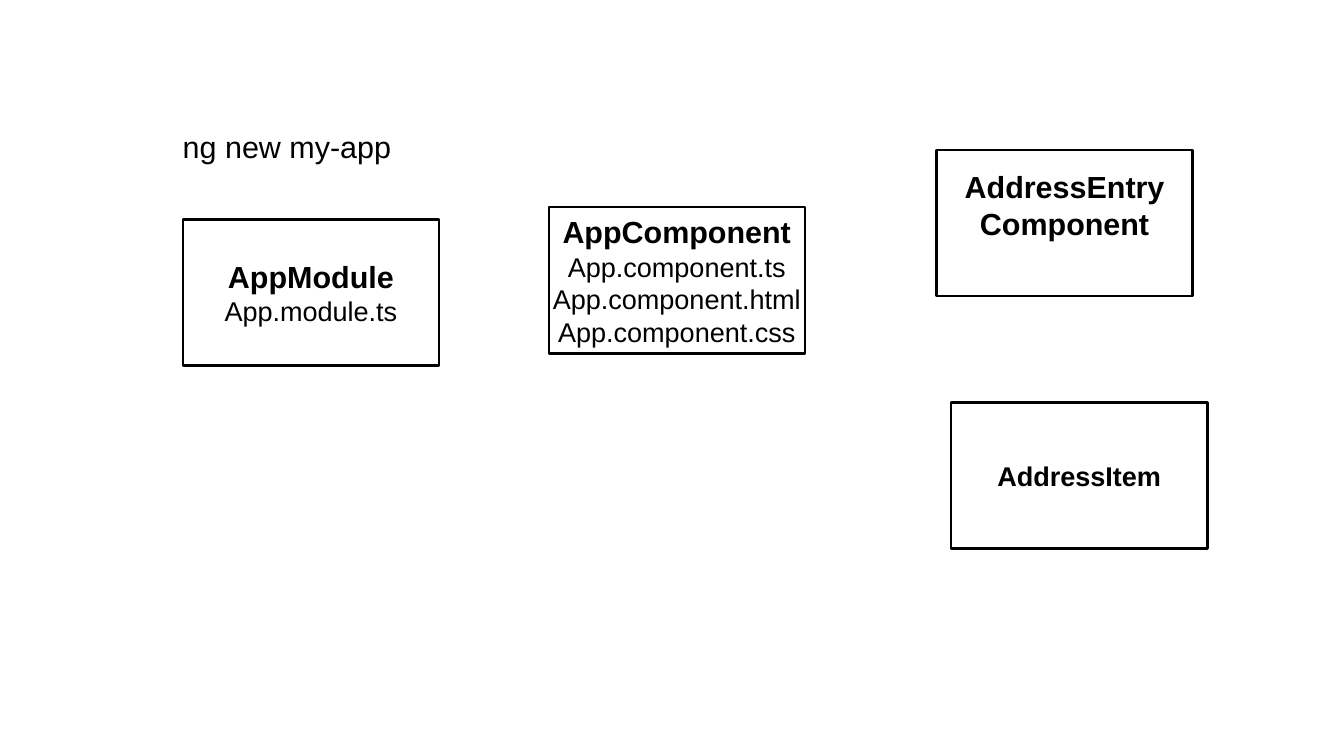
from pptx import Presentation
from pptx.dml.color import RGBColor
from pptx.enum.shapes import MSO_SHAPE
from pptx.enum.text import MSO_ANCHOR, PP_ALIGN
from pptx.util import Inches, Pt

RECTANGLE = MSO_SHAPE.RECTANGLE
MIDDLE = MSO_ANCHOR.MIDDLE
CENTER, LEFT = PP_ALIGN.CENTER, PP_ALIGN.LEFT
BLACK, WHITE = "000000", "FFFFFF"
BOX_WIDTH, BOX_HEIGHT = 2.1, 1.2
BOX_FRAME = {
    "word_wrap": False,
    "vertical_anchor": MIDDLE,
    "margin_left": Inches(0.11),
    "margin_right": Inches(0.11),
    "margin_top": Inches(0.06),
}


def color(value):
    return RGBColor.from_string(value)


def write_lines(frame, lines, alignment):
    """Fill the frame with one paragraph per (text, size, bold) line."""
    for index, (text, size, bold) in enumerate(lines):
        paragraph = frame.add_paragraph() if index else frame.paragraphs[0]
        paragraph.alignment = alignment
        run = paragraph.add_run()
        run.text = text
        for name, value in {"name": "Arial", "size": Pt(size), "bold": bold}.items():
            setattr(run.font, name, value)
        run.font.color.rgb = color(BLACK)


presentation = Presentation()
presentation.slide_width = Inches(11.02)
presentation.slide_height = Inches(6.2)
slide = presentation.slides.add_slide(presentation.slide_layouts[6])

# Left, top, bottom margin, lines; a larger bottom margin lifts the text
boxes = [
    (1.5, 1.8, 0.06, [("AppModule", 18, True), ("App.module.ts", 16, False)]),
    (4.5, 1.7, 0.06, [
        ("AppComponent", 18, True),
        ("App.component.ts", 16, False),
        ("App.component.html", 16, False),
        ("App.component.css", 16, False),
    ]),
    (7.68, 1.23, 0.36, [("AddressEntry", 18, True), ("Component", 18, True)]),
    (7.8, 3.3, 0.06, [("AddressItem", 16, True)]),
]
for left, top, bottom_margin, lines in boxes:
    box = slide.shapes.add_shape(
        RECTANGLE, Inches(left), Inches(top), Inches(BOX_WIDTH), Inches(BOX_HEIGHT)
    )
    box.shadow.inherit = False
    box.fill.solid()
    box.fill.fore_color.rgb = color(WHITE)
    box.line.color.rgb = color(BLACK)
    box.line.width = Pt(1.45)
    for name, value in BOX_FRAME.items():
        setattr(box.text_frame, name, value)
    box.text_frame.margin_bottom = Inches(bottom_margin)
    write_lines(box.text_frame, lines, CENTER)

command = slide.shapes.add_textbox(Inches(1.4), Inches(1), Inches(5), Inches(0.38))
command.text_frame.word_wrap = True
write_lines(command.text_frame, [("ng new my-app", 18, False)], LEFT)

presentation.save("out.pptx")
